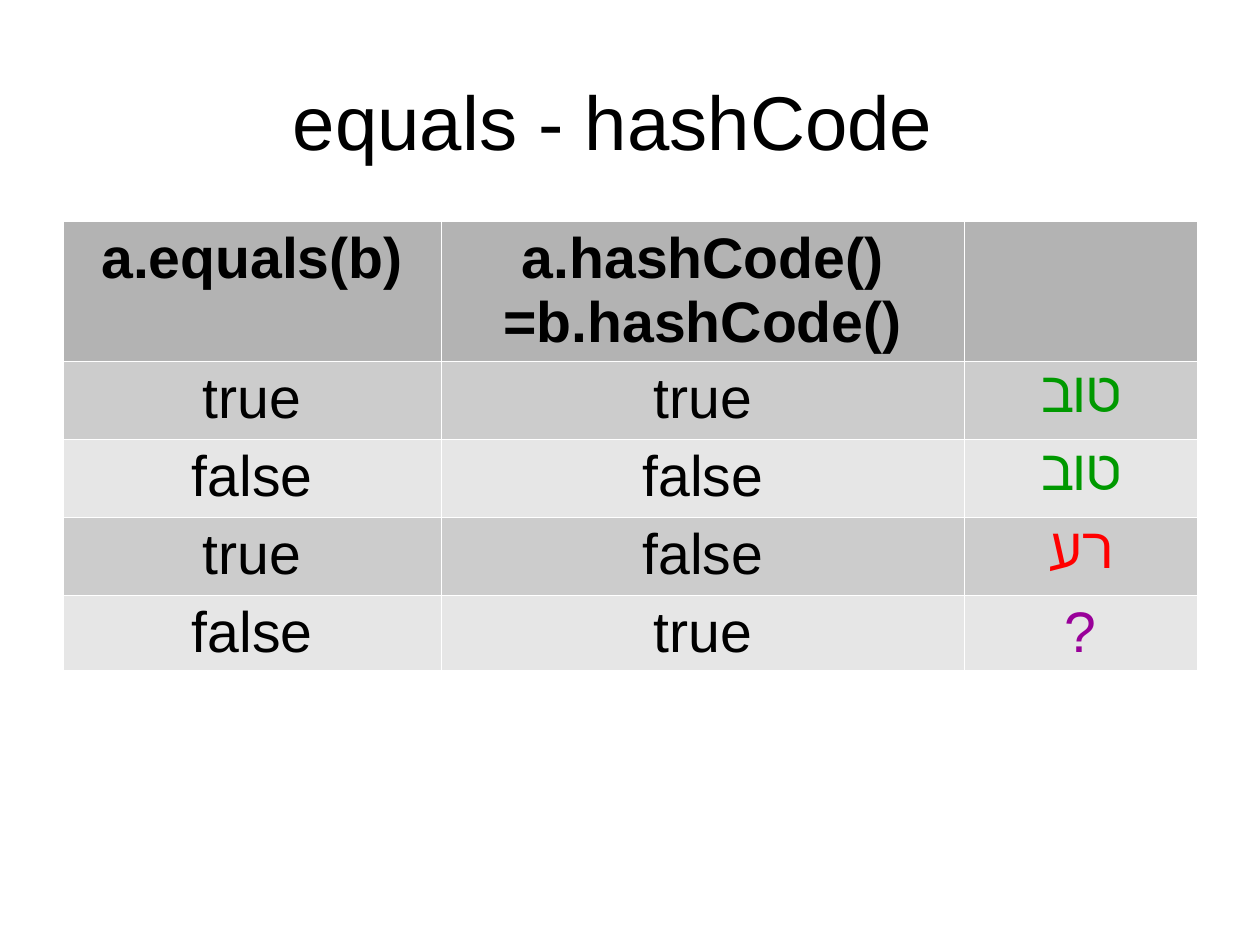
from lxml import etree
from pptx import Presentation
from pptx.dml.color import RGBColor
from pptx.enum.text import MSO_ANCHOR, PP_ALIGN
from pptx.oxml.ns import qn
from pptx.util import Pt

CENTER = PP_ALIGN.CENTER
MIDDLE = MSO_ANCHOR.MIDDLE
TITLE_ONLY = 5
FONT = "Arial"

BLACK = RGBColor(0x00, 0x00, 0x00)
GREEN = RGBColor(0x00, 0x99, 0x00)
RED = RGBColor(0xFF, 0x00, 0x00)
PURPLE = RGBColor(0x99, 0x00, 0x99)
WHITE = RGBColor(0xFF, 0xFF, 0xFF)
HEADER_GREY = RGBColor(0xB3, 0xB3, 0xB3)
BAND_GREYS = (RGBColor(0xCC, 0xCC, 0xCC), RGBColor(0xE6, 0xE6, 0xE6))

ROWS = [
    ("a.equals(b)", "a.hashCode()\v=b.hashCode()", ""),
    ("true", "true", "טוב"),
    ("false", "false", "טוב"),
    ("true", "false", "רע"),
    ("false", "true", "?"),
]
VERDICT_COLORS = {"טוב": GREEN, "רע": RED, "?": PURPLE}
COLUMN_WIDTHS = (238, 329.8, 146.2)
ROW_HEIGHTS = (87.8, 49.2, 49.2, 49.2, 47.5)


def format_text(text_frame, size, color, bold=False):
    paragraph = text_frame.paragraphs[0]
    paragraph.alignment = CENTER
    for run in paragraph.runs:
        run.font.name = FONT
        run.font.size = Pt(size)
        run.font.bold = bold
        run.font.color.rgb = color


def set_borders(cell):
    properties = cell._tc.get_or_add_tcPr()
    for position, side in enumerate(("a:lnL", "a:lnR", "a:lnT", "a:lnB")):
        line = etree.Element(qn(side), w=str(Pt(0.06)))
        fill = etree.SubElement(line, qn("a:solidFill"))
        etree.SubElement(fill, qn("a:srgbClr"), val=str(WHITE))
        properties.insert(position, line)


def place_title(slide, left, top, width, height):
    title = slide.shapes.title
    title.left, title.top = Pt(left), Pt(top)
    title.width, title.height = Pt(width), Pt(height)
    text_frame = title.text_frame
    text_frame.text = "equals - hashCode"
    text_frame.word_wrap = True
    text_frame.vertical_anchor = MIDDLE
    text_frame.margin_left = text_frame.margin_right = 0
    text_frame.margin_top = text_frame.margin_bottom = 0
    format_text(text_frame, 48, BLACK)
    text_frame.paragraphs[0]._p.get_or_add_pPr().set("rtl", "1")


def place_table(slide, left, top):
    table = slide.shapes.add_table(
        len(ROWS), len(COLUMN_WIDTHS), Pt(left), Pt(top),
        Pt(sum(COLUMN_WIDTHS)), Pt(sum(ROW_HEIGHTS))).table
    for column, width in zip(table.columns, COLUMN_WIDTHS):
        column.width = Pt(width)
    for row_index, texts in enumerate(ROWS):
        table.rows[row_index].height = Pt(ROW_HEIGHTS[row_index])
        is_header = row_index == 0
        grey = HEADER_GREY if is_header else BAND_GREYS[(row_index - 1) % 2]
        for column_index, text in enumerate(texts):
            cell = table.cell(row_index, column_index)
            cell.fill.solid()
            cell.fill.fore_color.rgb = grey
            set_borders(cell)
            cell.text_frame.text = text
            format_text(cell.text_frame, 36,
                        VERDICT_COLORS.get(text, BLACK), is_header)


def main():
    presentation = Presentation()
    presentation.slide_width = Pt(793.7)
    presentation.slide_height = Pt(595.28)
    slide = presentation.slides.add_slide(
        presentation.slide_layouts[TITLE_ONLY])
    # Heading
    place_title(slide, 30.24, 21.6, 711.4, 108)
    # Comparison table
    place_table(slide, 39.8, 139.3)
    presentation.save("out.pptx")


if __name__ == "__main__":
    main()
